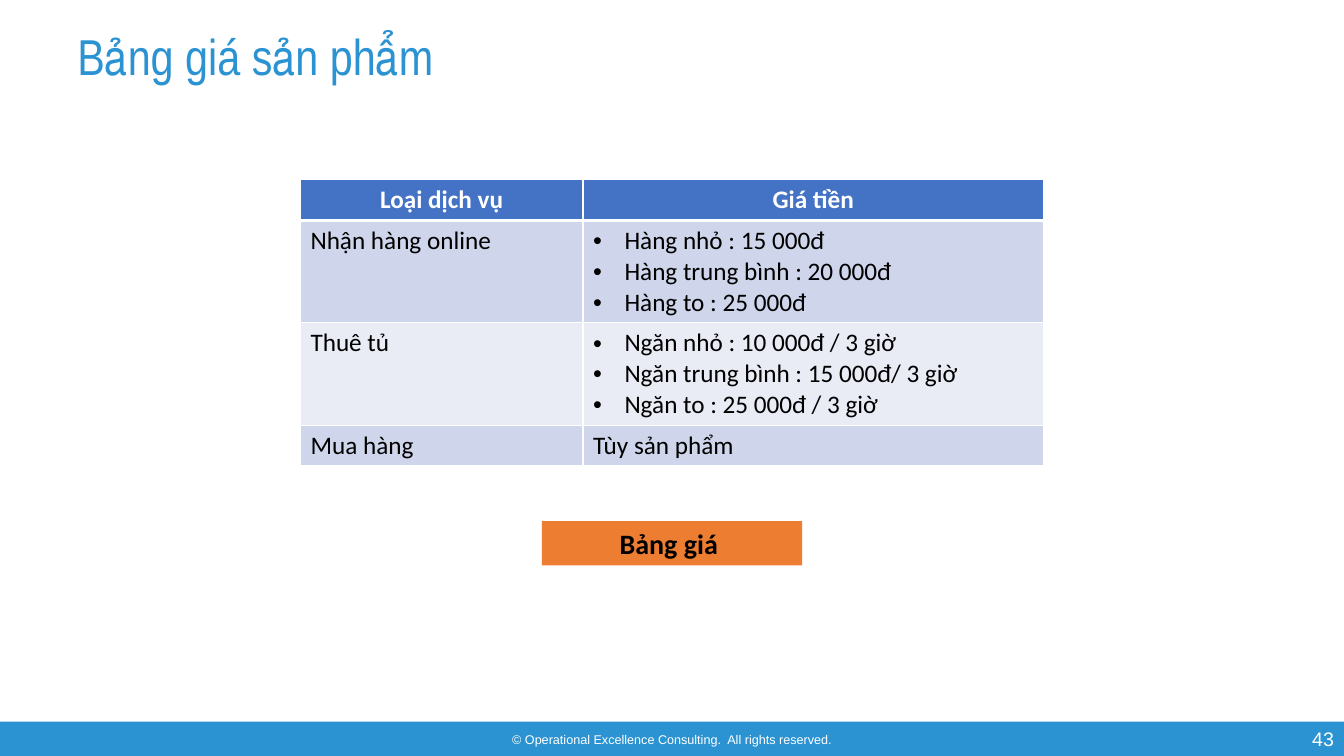
from lxml import etree
from pptx import Presentation
from pptx.dml.color import RGBColor
from pptx.enum import shapes, text
from pptx.oxml import ns
from pptx.util import Pt

BLUE, WHITE, BLACK = "2B93D1", "FFFFFF", "000000"
HEADER, BAND_DARK, BAND_LIGHT, ORANGE = "4472C4", "CFD5EA", "E9EBF5", "ED7D31"
LEFT, CENTER, RIGHT = text.PP_ALIGN.LEFT, text.PP_ALIGN.CENTER, text.PP_ALIGN.RIGHT
MIDDLE, TOP = text.MSO_ANCHOR.MIDDLE, text.MSO_ANCHOR.TOP

HEADINGS = ["Loại dịch vụ", "Giá tiền"]
PRICES = [
    ("Nhận hàng online",
     ["Hàng nhỏ : 15 000đ", "Hàng trung bình : 20 000đ", "Hàng to : 25 000đ"]),
    ("Thuê tủ",
     ["Ngăn nhỏ : 10 000đ / 3 giờ", "Ngăn trung bình : 15 000đ/ 3 giờ",
      "Ngăn to : 25 000đ / 3 giờ"]),
    ("Mua hàng", ["Tùy sản phẩm"]),
]


def color(value):
    return RGBColor.from_string(value)


def paint(target, value):
    target.fill.solid()
    target.fill.fore_color.rgb = color(value)


def style(p, size, font, value, bold=False, align=LEFT):
    p.alignment = align
    for r in p.runs:
        r.font.size, r.font.name, r.font.bold = Pt(size), font, bold
        r.font.color.rgb = color(value)


def write(tf, value, anchor, *look, **options):
    tf.word_wrap = True
    tf.vertical_anchor = anchor
    tf.text = value
    style(tf.paragraphs[0], *look, **options)


def add_bar(s, x, y, w, h, fill):
    sp = s.shapes.add_shape(shapes.MSO_SHAPE.RECTANGLE, Pt(x), Pt(y), Pt(w), Pt(h))
    sp.shadow.inherit = False
    paint(sp, fill)
    sp.line.fill.background()
    return sp


def add_footer(s, x, y, w, h):
    add_bar(s, x, y, w, h, BLUE)
    notice = add_bar(s, x + w * 0.2, y + 0.5, w * 0.6, h - 0.5, BLUE)
    write(notice.text_frame, "© Operational Excellence Consulting.  All rights reserved.",
          MIDDLE, 9, "Arial", WHITE, align=CENTER)
    number = s.shapes.add_textbox(Pt(x + w - 136), Pt(y + 0.5), Pt(136), Pt(h - 0.5))
    write(number.text_frame, "43", TOP, 14, "Arial", WHITE, align=RIGHT)


def add_title(s, x, y, w, h):
    sp = s.shapes.title
    sp.left, sp.top, sp.width, sp.height = Pt(x), Pt(y), Pt(w), Pt(h)
    write(sp.text_frame, "Bảng giá sản phẩm", MIDDLE, 36, "Arial Narrow", BLUE)
    sp.text_frame.auto_size = text.MSO_AUTO_SIZE.NONE
    sp.text_frame.paragraphs[0].line_spacing = 0.9


def add_borders(cell, bottom):
    tcPr = cell._tc.get_or_add_tcPr()
    for side, width in (("L", 1), ("R", 1), ("T", 1), ("B", bottom)):
        ln = etree.SubElement(tcPr, ns.qn(f"a:ln{side}"), w=str(Pt(width)))
        fill = etree.SubElement(ln, ns.qn("a:solidFill"))
        etree.SubElement(fill, ns.qn("a:srgbClr"), val=WHITE)


def add_bullet(p):
    pPr = p._p.get_or_add_pPr()
    pPr.set("marL", str(Pt(22.5)))
    pPr.set("indent", str(-Pt(22.5)))
    etree.SubElement(pPr, ns.qn("a:buFont"), typeface="Arial")
    etree.SubElement(pPr, ns.qn("a:buChar"), char="•")


def fill_cell(cell, lines, fill, header=False):
    add_borders(cell, 3 if header else 1)
    paint(cell, fill)
    cell.text_frame.text = "\n".join(lines)
    for p in cell.text_frame.paragraphs:
        if len(lines) > 1:
            add_bullet(p)
        style(p, 18, "Calibri", WHITE if header else BLACK, header,
              CENTER if header else LEFT)


def add_price_table(s, x, y, w, h):
    rows = [[[heading] for heading in HEADINGS]]
    rows += [[[service], prices] for service, prices in PRICES]
    table = s.shapes.add_table(len(rows), 2, Pt(x), Pt(y), Pt(w), Pt(h)).table
    for column, share in zip(table.columns, (0.38, 0.62)):
        column.width = Pt(w * share)
    line = 22
    padding = (h - line * sum(len(row[1]) for row in rows)) / len(rows)
    for i, row in enumerate(rows):
        table.rows[i].height = Pt(line * len(row[1]) + padding)
        fill = HEADER if i == 0 else BAND_DARK if i % 2 else BAND_LIGHT
        for j, lines in enumerate(row):
            fill_cell(table.cell(i, j), lines, fill, header=i == 0)


def add_caption(s, x, y, w, h):
    sp = add_bar(s, x, y, w, h, ORANGE)
    write(sp.text_frame, "Bảng giá ", TOP, 20, "Calibri", BLACK, bold=True, align=CENTER)


def main():
    prs = Presentation()
    prs.slide_width, prs.slide_height = Pt(960), Pt(540)
    s = prs.slides.add_slide(prs.slide_layouts[5])
    add_footer(s, 0, 515.5, 960, 24.5)
    add_title(s, 48, 14.5, 864, 56)
    add_price_table(s, 214.6, 128.4, 531, 204.5)
    add_caption(s, 387, 372.3, 186, 31.5)
    prs.save("out.pptx")


if __name__ == "__main__":
    main()
